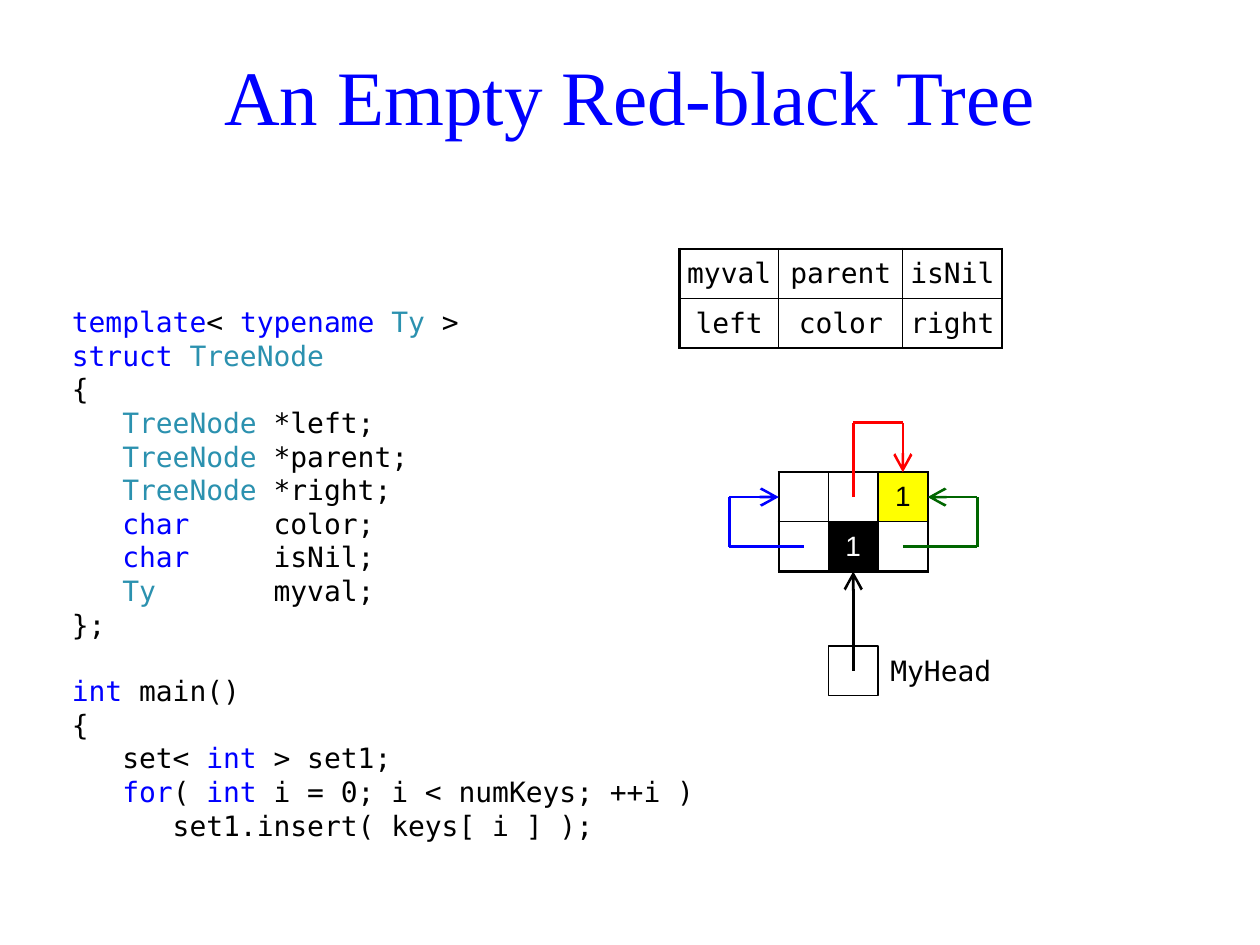
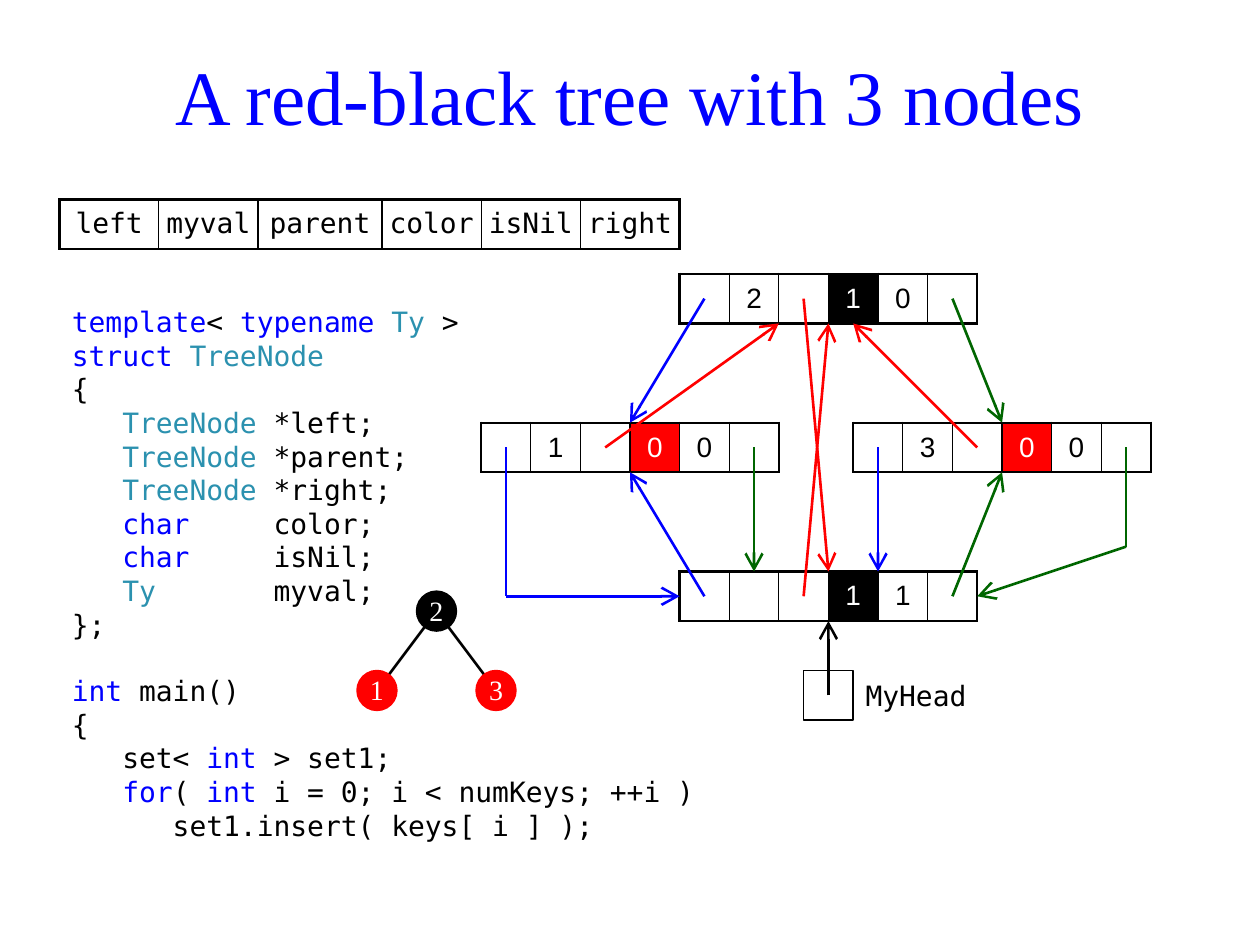
from itertools import groupby, pairwise

from lxml import etree
from pptx import Presentation
from pptx import util as u
from pptx.dml import color
from pptx.enum import shapes, text
from pptx.oxml import ns

SERIF, SANS, MONO = "Times New Roman", "Arial", "DejaVu Sans Mono"
BLACK, WHITE, RED, YELLOW = "000000", "FFFFFF", "FF0000", "FFFF00"
BLUE, GREEN, TEAL = "0000FF", "006600", "2B91AF"
LEFT, TOP = 1.2, 0.52
WORD_COLORS = dict.fromkeys("template typename struct char int for".split(), BLUE)
WORD_COLORS |= {"TreeNode": TEAL, "Ty": TEAL}

STRUCT_CODE = """template< typename Ty >
struct TreeNode
{
   TreeNode *left;
   TreeNode *parent;
   TreeNode *right;
   char     color;
   char     isNil;
   Ty       myval;
};"""
MAIN_CODE = """int main()
{
   set< int > set1;
   for( int i = 0; i < numKeys; ++i )
      set1.insert( keys[ i ] );"""


def rgb(value):
    return color.RGBColor.from_string(value)


def area(x, y, width, height):
    return u.Cm(LEFT + x), u.Cm(TOP + y), u.Cm(width), u.Cm(height)


def write(paragraph, content, font=MONO, size=16, ink=BLACK, align=None, spacing=None, before=None):
    paragraph.alignment = align
    paragraph.line_spacing = spacing
    if before:
        paragraph.space_before = u.Pt(before)
    runs = [(content, ink)] if isinstance(content, str) else content
    for words, run_ink in runs:
        run = paragraph.add_run()
        run.text = words
        run.font.name, run.font.size = font, u.Pt(size)
        run.font.color.rgb = rgb(run_ink)


def text_frame(slide, box, anchor=text.MSO_ANCHOR.MIDDLE):
    frame = slide.shapes.add_textbox(*area(*box)).text_frame
    frame.word_wrap = True
    frame.vertical_anchor = anchor
    return frame


def add_title(slide, box, words):
    write(text_frame(slide, box).paragraphs[0], words, font=SERIF, size=44,
          ink=BLUE, align=text.PP_ALIGN.CENTER, spacing=0.9)


def highlight(line):
    parts = ("".join(group) for _, group in groupby(line, str.isalnum))
    return [(part, WORD_COLORS.get(part, BLACK)) for part in parts]


def add_code(slide, box):
    frame = text_frame(slide, box, text.MSO_ANCHOR.TOP)
    struct_lines, main_lines = STRUCT_CODE.splitlines(), MAIN_CODE.splitlines()
    for index, line in enumerate(struct_lines + main_lines):
        paragraph = frame.add_paragraph() if index else frame.paragraphs[0]
        write(paragraph, highlight(line), before=19 if index == len(struct_lines) else None)


def style_shape(shape, fill, line):
    shape.shadow.inherit = False
    shape.fill.solid()
    shape.fill.fore_color.rgb = rgb(fill)
    shape.line.color.rgb = rgb(line)
    shape.line.width = u.Pt(1)


def trace(slide, points, ink, arrow=True):
    for start, end in pairwise(points):
        x1, y1, x2, y2 = area(*start, 0, 0)[:2] + area(*end, 0, 0)[:2]
        link = slide.shapes.add_connector(shapes.MSO_CONNECTOR.STRAIGHT, x1, y1, x2, y2)
        link.line.color.rgb = rgb(ink)
        link.line.width = u.Pt(1.5)
        properties = link.element.spPr
        etree.SubElement(properties, ns.qn("a:effectLst"))
        if arrow and end == points[-1]:
            etree.SubElement(properties.find(ns.qn("a:ln")), ns.qn("a:tailEnd"),
                             type="arrow", w="lg", len="lg")


def set_borders(cell, outer_sides):
    properties = cell._tc.get_or_add_tcPr()
    for side, outer in outer_sides.items():
        border = etree.SubElement(properties, ns.qn(f"a:ln{side}"), w=str(u.Pt(1.5 if outer else 0.75)))
        solid = etree.SubElement(border, ns.qn("a:solidFill"))
        etree.SubElement(solid, ns.qn("a:srgbClr"), val=BLACK)


def add_grid(slide, x, y, rows, widths, fills=None, font=MONO):
    fills = fills or {}
    last_row, last_column = len(rows) - 1, len(widths) - 1
    grid = slide.shapes.add_table(len(rows), len(widths), *area(x, y, sum(widths), len(rows))).table
    grid.first_row = grid.horz_banding = False
    for column, width in zip(grid.columns, widths):
        column.width = u.Cm(width)
    for r, row in enumerate(rows):
        for c, words in enumerate(row):
            cell = grid.cell(r, c)
            cell.margin_left = cell.margin_right = cell.margin_top = cell.margin_bottom = 0
            cell.vertical_anchor = text.MSO_ANCHOR.MIDDLE
            set_borders(cell, {"L": c == 0, "R": c == last_column, "T": r == 0, "B": r == last_row})
            fill = fills.get((r, c))
            if fill:
                cell.fill.solid()
                cell.fill.fore_color.rgb = rgb(fill)
            else:
                cell.fill.background()
            if words:
                write(cell.text_frame.paragraphs[0], words, font=font,
                      ink=WHITE if fill in (BLACK, RED) else BLACK, align=text.PP_ALIGN.CENTER)


def add_node(slide, x, y, value, node_color, is_nil, fill):
    add_grid(slide, x, y, [["", value, "", node_color, is_nil, ""]], [1] * 6, {(0, 3): fill}, SANS)


def add_head(slide, x, y, target_y):
    pointer = slide.shapes.add_shape(shapes.MSO_SHAPE.RECTANGLE, *area(x, y, 1, 1))
    style_shape(pointer, WHITE, BLACK)
    write(text_frame(slide, (x + 1, y, 3, 1)).paragraphs[0], "MyHead")
    trace(slide, [(x + 0.5, y + 0.5), (x + 0.5, target_y)], BLACK)


def add_empty_tree(slide, x, y):
    add_grid(slide, x, y, [["", "", "1"], ["", "1", ""]], [1] * 3,
             {(0, 2): YELLOW, (1, 1): BLACK}, SANS)
    loops = [
        (RED, [(1.5, 0.5), (1.5, -1), (2.5, -1), (2.5, 0)]),
        (GREEN, [(2.5, 1.5), (4, 1.5), (4, 0.5), (3, 0.5)]),
        (BLUE, [(0.5, 1.5), (-1, 1.5), (-1, 0.5), (0, 0.5)]),
    ]
    for ink, points in loops:
        trace(slide, [(x + dx, y + dy) for dx, dy in points], ink)
    add_head(slide, x + 1, y + 3.5, y + 2)


def add_linked_tree(slide, x, y):
    add_node(slide, x + 4, y, "2", "1", "0", BLACK)
    add_node(slide, x, y + 3, "1", "0", "0", RED)
    add_node(slide, x + 7.5, y + 3, "3", "0", "0", RED)
    add_node(slide, x + 4, y + 6, "", "1", "1", BLACK)
    links = [
        (BLUE, [(4.5, 0.5), (3, 3)]),
        (RED, [(6.5, 0.5), (7, 6)]),
        (GREEN, [(9.5, 0.5), (10.5, 3)]),
        (BLUE, [(0.5, 3.5), (0.5, 6.5), (4, 6.5)]),
        (RED, [(2.5, 3.5), (6, 1)]),
        (GREEN, [(5.5, 3.5), (5.5, 6)]),
        (BLUE, [(8, 3.5), (8, 6)]),
        (RED, [(10, 3.5), (7.5, 1)]),
        (GREEN, [(13, 3.5), (13, 5.5), (10, 6.5)]),
        (BLUE, [(4.5, 6.5), (3, 4)]),
        (RED, [(6.5, 6.5), (7, 1)]),
        (GREEN, [(9.5, 6.5), (10.5, 4)]),
    ]
    for ink, points in links:
        trace(slide, [(x + dx, y + dy) for dx, dy in points], ink)
    add_head(slide, x + 6.5, y + 8, y + 7)


def add_key_tree(slide, x, y):
    size = 0.8
    root = (x + 1.6, y + size / 2)
    children = [(x + size / 2, y + 2), (x + 2.8, y + 2)]
    for child in children:
        trace(slide, [root, child], BLACK, arrow=False)
    for key, (center_x, center_y), fill in zip("213", [root, *children], [BLACK, RED, RED]):
        circle = slide.shapes.add_shape(
            shapes.MSO_SHAPE.OVAL, *area(center_x - size / 2, center_y - size / 2, size, size))
        style_shape(circle, fill, fill)
        frame = circle.text_frame
        frame.margin_left = frame.margin_right = frame.margin_top = 0
        frame.margin_bottom = u.Cm(0.03)
        frame.vertical_anchor = text.MSO_ANCHOR.MIDDLE
        write(frame.paragraphs[0], key, font=SERIF, ink=WHITE, align=text.PP_ALIGN.CENTER)


def add_code_slide(deck, title):
    slide = deck.slides.add_slide(deck.slide_layouts[6])
    add_title(slide, (0, 0, 23, 3), title)
    add_code(slide, (0, 5.5, 16, 11.5))
    return slide


def main():
    deck = Presentation()
    deck.slide_width, deck.slide_height = u.Cm(25.4), u.Cm(19.05)

    empty = add_code_slide(deck, "An Empty Red-black Tree")
    add_grid(empty, 12.5, 4.5, [["myval", "parent", "isNil"], ["left", "color", "right"]], [2, 2.5, 2])
    add_empty_tree(empty, 14.5, 9)

    linked = add_code_slide(deck, "A red-black tree with 3 nodes")
    add_grid(linked, 0, 3.5, [["left", "myval", "parent", "color", "isNil", "right"]], [2, 2, 2.5, 2, 2, 2])
    add_linked_tree(linked, 8.5, 5)
    add_key_tree(linked, 6, 11.4)

    deck.save("out.pptx")


if __name__ == "__main__":
    main()
